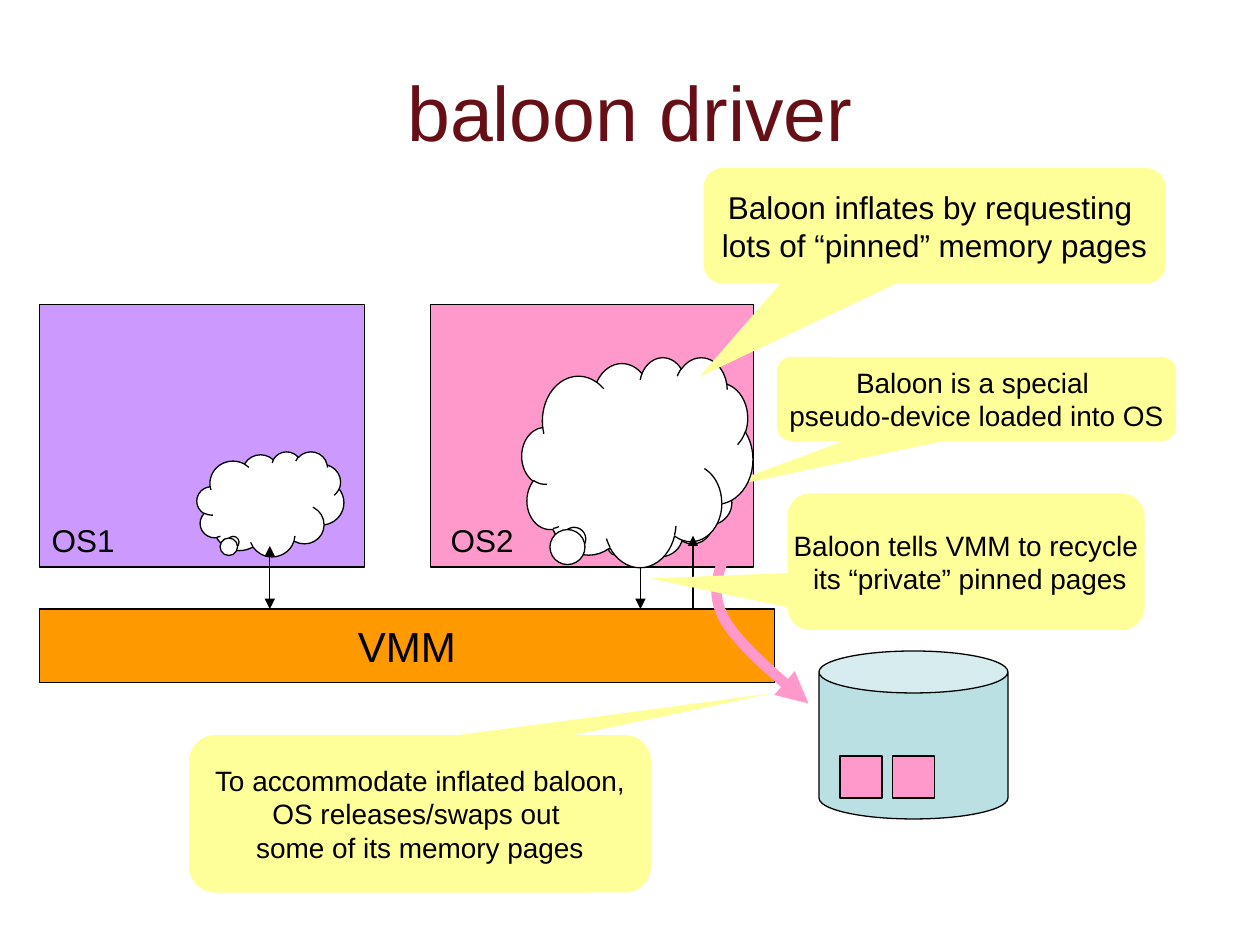
from lxml import etree
from pptx import Presentation
from pptx.dml.color import RGBColor
from pptx.enum.shapes import MSO_CONNECTOR, MSO_SHAPE
from pptx.enum.text import MSO_ANCHOR, PP_ALIGN
from pptx.oxml.ns import qn
from pptx.util import Inches, Pt

RECT, CAN = MSO_SHAPE.RECTANGLE, MSO_SHAPE.CAN
CLOUD = MSO_SHAPE.CLOUD_CALLOUT
CALLOUT = MSO_SHAPE.ROUNDED_RECTANGULAR_CALLOUT
STRAIGHT = MSO_CONNECTOR.STRAIGHT
LEFT, CENTER = PP_ALIGN.LEFT, PP_ALIGN.CENTER
TOP, MIDDLE = MSO_ANCHOR.TOP, MSO_ANCHOR.MIDDLE
TITLE_ONLY = 5

# The slide is a grid of 120 columns and 90 rows, each 1/12 inch
COLUMNS, ROWS = 120, 90
BLACK, WHITE, MAROON = "000000", "FFFFFF", "660F16"
ORANGE, VIOLET, PINK = "FF9900", "CC99FF", "FF99CC"
YELLOW, AQUA = "FFFF99", "BBE0E3"


def grid(*cells):
    return [Inches(cell / 12) for cell in cells]


def color(hex_code):
    return RGBColor.from_string(hex_code)


def write(frame, text, size=16, ink=BLACK, align=CENTER, anchor=MIDDLE, wrap=False):
    frame.word_wrap = wrap
    frame.vertical_anchor = anchor
    for number, line in enumerate(text.split("\n")):
        paragraph = frame.add_paragraph() if number else frame.paragraphs[0]
        paragraph.alignment = align
        run = paragraph.add_run()
        run.text = line
        run.font.name, run.font.size = "Arial", Pt(size)
        run.font.color.rgb = color(ink)


def add_shape(slide, kind, box, fill, line=BLACK, adjust=()):
    shape = slide.shapes.add_shape(kind, *grid(*box))
    shape.shadow.inherit = False
    shape.fill.solid()
    shape.fill.fore_color.rgb = color(fill)
    if line:
        shape.line.color.rgb = color(line)
        shape.line.width = Pt(0.75)
    else:
        shape.line.fill.background()
    for index, value in enumerate(adjust):
        shape.adjustments[index] = value
    return shape


def add_arrowheads(shape, *ends):
    outline = shape._element.spPr.get_or_add_ln()
    for end in ends:
        etree.SubElement(outline, qn(f"a:{end}"), type="triangle")


def add_arrow(slide, x, start, finish, ends=("tailEnd",)):
    arrow = slide.shapes.add_connector(STRAIGHT, *grid(x, start, x, finish))
    arrow.line.color.rgb = color(BLACK)
    arrow.line.width = Pt(0.75)
    add_arrowheads(arrow, *ends)
    etree.SubElement(arrow._element.spPr, qn("a:effectLst"))


def add_callout(slide, box, tip, text, size=16):
    left, top, width, height = box
    tail = ((tip[0] - left) / width - 0.5, (tip[1] - top) / height - 0.5)
    callout = add_shape(slide, CALLOUT, box, YELLOW, None, (*tail, 0.167))
    write(callout.text_frame, text, size)


def add_cloud(slide, box, tail):
    add_shape(slide, CLOUD, box, WHITE, adjust=tail)


def add_guest(slide, box, name, fill, label_shift, cloud_shift):
    """Guest system with its name and a deflated baloon."""
    left, top = box[:2]
    add_shape(slide, RECT, box, fill)
    label = slide.shapes.add_textbox(*grid(left + label_shift, top + 20, 8.4, 4.8))
    write(label.text_frame, name, 18, align=LEFT, anchor=TOP)
    add_cloud(slide, (left + cloud_shift, top + 14, 14, 10), (-0.25, 0.36))


def add_disk(slide, box):
    """Disk holding two swapped-out pages."""
    left, top = box[:2]
    add_shape(slide, CAN, box, AQUA, adjust=(0.25,))
    for page in range(2):
        add_shape(slide, RECT, (left + 2 + 5 * page, top + 10, 4, 4), PINK)


def bezier(points, steps=16):
    for step in range(1, steps + 1):
        t = step / steps
        weights = ((1 - t) ** 3, 3 * t * (1 - t) ** 2, 3 * t * t * (1 - t), t ** 3)
        yield tuple(sum(w * point[axis] for w, point in zip(weights, points))
                    for axis in (0, 1))


def add_swap_curve(slide, points):
    """Thick curved arrow through two joined cubic curves."""
    track = [*bezier(points[:4]), *bezier(points[3:])]
    corners = [tuple(grid(*point)) for point in (points[0], *track)]
    builder = slide.shapes.build_freeform(*corners[0])
    builder.add_line_segments(corners[1:], close=False)
    curve = builder.convert_to_shape()
    curve.shadow.inherit = False
    curve.fill.background()
    curve.line.color.rgb = color(PINK)
    curve.line.width = Pt(6)
    add_arrowheads(curve, "tailEnd")


def add_title(slide, box, text):
    title = slide.shapes.title
    title.left, title.top, title.width, title.height = grid(*box)
    write(title.text_frame, text, 44, MAROON, wrap=True)


def main():
    deck = Presentation()
    deck.slide_width, deck.slide_height = grid(COLUMNS, ROWS)
    slide = deck.slides.add_slide(deck.slide_layouts[TITLE_ONLY])
    add_title(slide, (9, 3, 102, 15), "baloon driver")

    # Monitor and the two guest systems
    vmm = add_shape(slide, RECT, (3.75, 58, 70, 7), ORANGE)
    write(vmm.text_frame, "VMM", 24)
    add_guest(slide, (3.75, 29, 31, 25), "OS1", VIOLET, 0, 15)
    add_guest(slide, (41, 29, 30.75, 25), "OS2", PINK, 0.75, 14.7)
    add_arrow(slide, 25.7, 58, 52, ("headEnd", "tailEnd"))

    # Inflated baloon and what it does
    add_callout(slide, (74, 34, 38, 8), (67.7, 46.7),
                "Baloon is a special \npseudo-device loaded into OS")
    add_cloud(slide, (49.7, 34, 22, 20), (-0.277, 0.371))
    add_callout(slide, (67, 16, 44, 11), (66.6, 35.9),
                "Baloon inflates by requesting \nlots of “pinned” memory pages", 18)

    # Swapping out to disk
    add_disk(slide, (78, 62, 18, 16))
    add_swap_curve(slide, [(69, 53), (68.3, 54.8), (67.7, 56.6), (69, 59),
                           (70.3, 61.3), (73.7, 64.2), (77, 67)])
    add_callout(slide, (18, 70, 44, 15), (73.7, 66),
                "To accommodate inflated baloon,\nOS releases/swaps out \n"
                "some of its memory pages")

    # Exchange between OS2 and the monitor
    add_arrow(slide, 66, 58, 51)
    add_arrow(slide, 61, 54, 58)
    add_callout(slide, (75, 47, 34, 13), (61.9, 55.1),
                "Baloon tells VMM to recycle\n its “private” pinned pages")

    deck.save("out.pptx")


if __name__ == "__main__":
    main()
